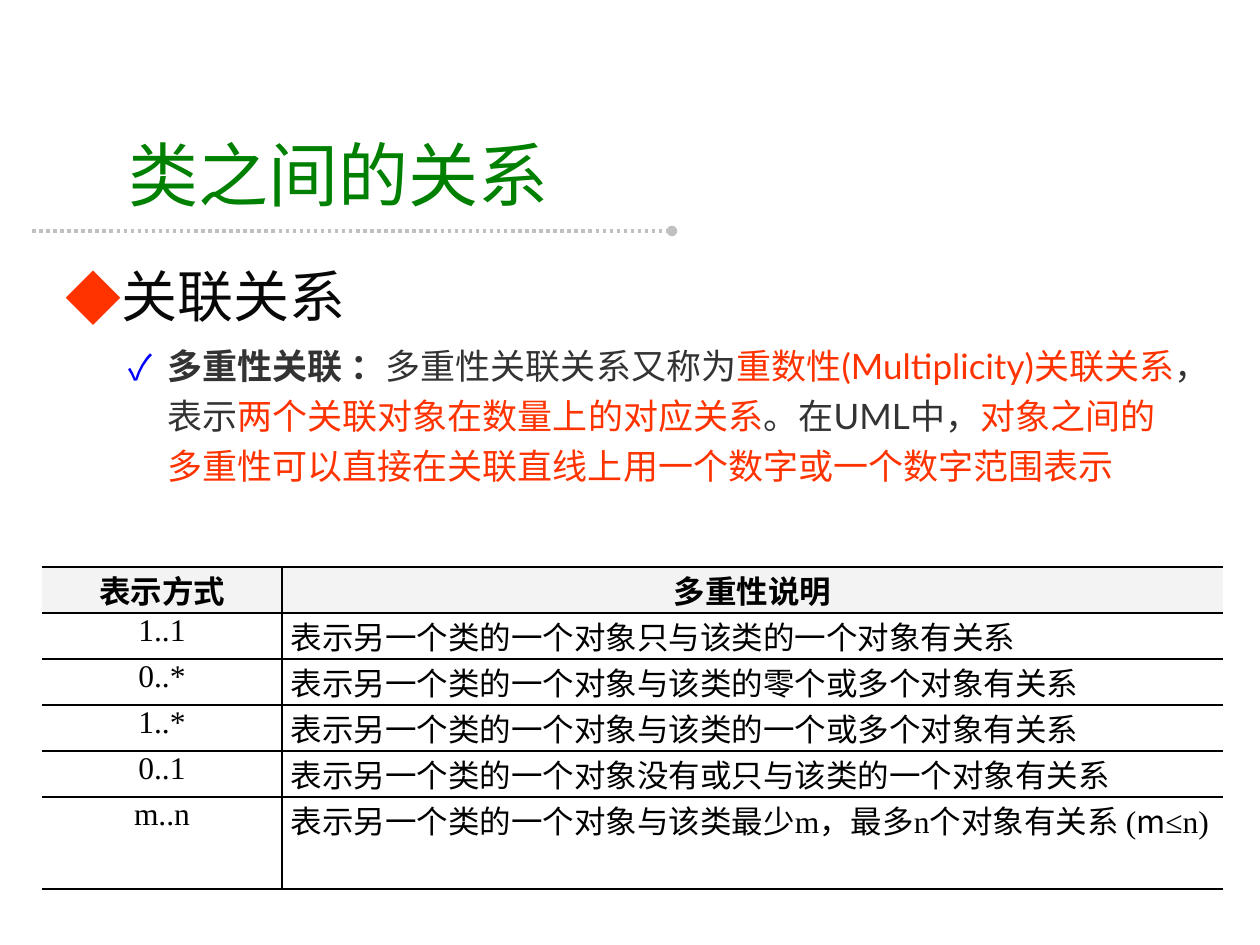
import pptx
import pptx.util
from lxml import etree
from pptx.dml.color import RGBColor
from pptx.enum.dml import MSO_LINE
from pptx.enum.shapes import MSO_CONNECTOR
from pptx.enum.text import MSO_ANCHOR, PP_ALIGN
from pptx.oxml.ns import qn

SCALE = 914400 / 126
HUES = {"title": "008000", "rule": "C0C0C0", "head": "080808", "text": "333333",
        "key": "FF3300", "tick": "0000FF", "ink": "000000", "band": "F3F3F3"}
LATIN, CJK, SERIF = "Lato", "Noto Sans CJK SC", "Times New Roman"

TITLE = "类之间的关系"
# Each paragraph: size, left edge, hang, bullet, bullet hue, runs (text, hue, bold)
BODY = [
    (32, 48, 48, "◆", "key", [("关联关系", "head", False)]),
    (20, 102, 39, "✓", "tick", [
        ("多重性关联 ：", "text", True),
        ("多重性关联关系又称为", "text", False),
        ("重数性(Multiplicity)关联关系", "key", False),
        ("，表示", "text", False),
        ("两个关联对象在数量上的对应关系", "key", False),
        ("。在UML中，", "text", False),
        ("对象之间的多重性可以直接在关联直线上用一个数字或一个数字范围表示", "key", False),
    ]),
]
# Each row: mark, lines of text, runs (text, font)
ROWS = [
    ("表示方式", 1, [("多重性说明", SERIF)]),
    ("1..1", 1, [("表示另一个类的一个对象只与该类的一个对象有关系", SERIF)]),
    ("0..*", 1, [("表示另一个类的一个对象与该类的零个或多个对象有关系", SERIF)]),
    ("1..*", 1, [("表示另一个类的一个对象与该类的一个或多个对象有关系", SERIF)]),
    ("0..1", 1, [("表示另一个类的一个对象没有或只与该类的一个对象有关系", SERIF)]),
    ("m..n", 2, [("表示另一个类的一个对象与该类最少m，最多n个对象有关系 (", SERIF),
                 ("m", CJK), ("≤n)", SERIF)]),
]
WIDTHS = (240, 941)
LINE = 46


def px(n):
    return pptx.util.Emu(round(n * SCALE))


def hue(name):
    return RGBColor.from_string(HUES[name])


def sub(node, tag, **attrs):
    return etree.SubElement(node, qn(tag), attrs)


def style(font, size, face, color=None, bold=None):
    font.size = pptx.util.Pt(size)
    font.name = face
    font.bold = bold
    if color:
        font.color.rgb = hue(color)


def bullet(para, left, hang, char, color):
    props = para._p.get_or_add_pPr()
    props.set("marL", str(px(left)))
    props.set("indent", str(-px(hang)))
    sub(sub(props, "a:buClr"), "a:srgbClr", val=HUES[color])
    sub(props, "a:buFont", typeface=CJK)
    sub(props, "a:buChar", char=char)


def border(cell, sides):
    """Draw the named sides of a cell in black and clear the others."""
    props = cell._tc.get_or_add_tcPr()
    for side in "LRTB":
        line = sub(props, "a:ln" + side, w="12700")
        if side in sides:
            sub(sub(line, "a:solidFill"), "a:srgbClr", val=HUES["ink"])
        else:
            sub(line, "a:noFill")


def add_rule(slide):
    rule = slide.shapes.add_connector(
        MSO_CONNECTOR.STRAIGHT, px(32), px(231), px(672), px(231))
    rule.line.color.rgb = hue("rule")
    rule.line.width = pptx.util.Pt(2)
    rule.line.dash_style = MSO_LINE.ROUND_DOT
    sub(rule.line._get_or_add_ln(), "a:tailEnd", type="oval")
    sub(rule._element.spPr, "a:effectLst")


def add_title(slide):
    title = slide.shapes.title
    title.left, title.top, title.width, title.height = map(px, (116, 126, 872, 94))
    frame = title.text_frame
    frame.text = TITLE
    frame.vertical_anchor = MSO_ANCHOR.MIDDLE
    para = frame.paragraphs[0]
    para.alignment = PP_ALIGN.LEFT
    style(para.font, 40, LATIN, "title")


def add_body(slide):
    frame = slide.shapes.add_textbox(*map(px, (53, 242, 1134, 567))).text_frame
    frame.word_wrap = True
    for i, (size, left, hang, char, color, runs) in enumerate(BODY):
        para = frame.add_paragraph() if i else frame.paragraphs[0]
        para.line_spacing = 1.2
        para.space_before = pptx.util.Pt(size * 0.2)
        bullet(para, left, hang, char, color)
        style(para.font, size, LATIN)
        for text, tint, bold in runs:
            run = para.add_run()
            run.text = text
            run.font.color.rgb = hue(tint)
            run.font.bold = bold


def fill_cell(cell, runs, head, first):
    cell.margin_left = cell.margin_right = px(9)
    cell.margin_top = cell.margin_bottom = 0
    border(cell, "RTB" if first else "LTB")
    if head:
        cell.fill.solid()
        cell.fill.fore_color.rgb = hue("band")
    else:
        cell.fill.background()
    para = cell.text_frame.paragraphs[0]
    para.alignment = PP_ALIGN.CENTER if head or first else PP_ALIGN.LEFT
    for text, face in runs:
        run = para.add_run()
        run.text = text
        style(run.font, 18, face, "ink", head)


def add_grid(slide):
    high = LINE * sum(lines for _, lines, _ in ROWS)
    grid = slide.shapes.add_table(
        len(ROWS), len(WIDTHS), px(42), px(567), px(sum(WIDTHS)), px(high)).table
    grid.first_row = grid.horz_banding = False
    for col, wide in zip(grid.columns, WIDTHS):
        col.width = px(wide)
    for r, (mark, lines, runs) in enumerate(ROWS):
        grid.rows[r].height = px(LINE * lines)
        fill_cell(grid.cell(r, 0), [(mark, SERIF)], r == 0, True)
        fill_cell(grid.cell(r, 1), runs, r == 0, False)


def main():
    deck = pptx.Presentation()
    deck.slide_width, deck.slide_height = px(1260), px(945)
    slide = deck.slides.add_slide(deck.slide_layouts[5])
    add_rule(slide)
    add_title(slide)
    add_body(slide)
    add_grid(slide)
    deck.save("out.pptx")


if __name__ == "__main__":
    main()
